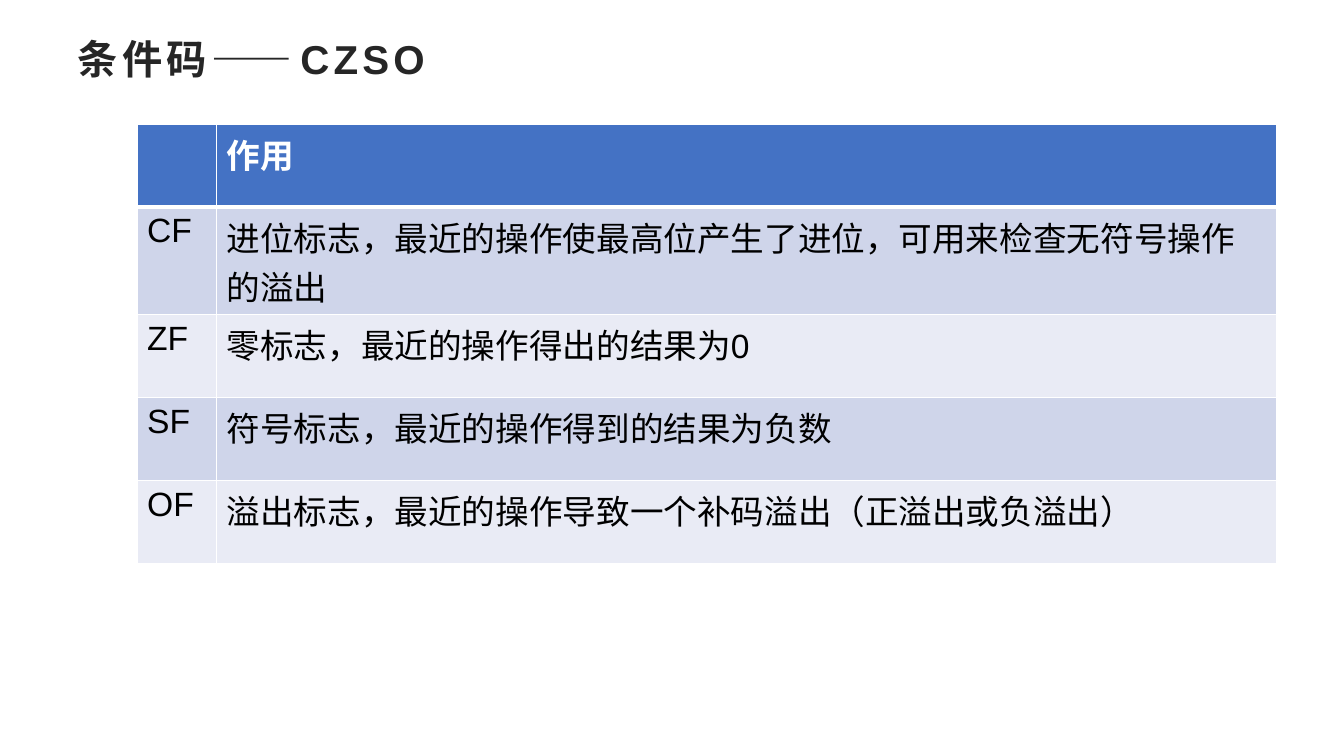
from lxml.etree import SubElement
from pptx import Presentation
from pptx.dml.color import RGBColor as RGB
from pptx.enum.lang import MSO_LANGUAGE_ID as LANG
from pptx.enum.text import MSO_ANCHOR as ANCHOR, MSO_AUTO_SIZE as AUTO, PP_ALIGN as ALIGN
from pptx.oxml.ns import qn
from pptx.util import Pt

COLORS = {
    "title": "262626",
    "header": "4472C4",
    "odd": "CFD5EA",
    "even": "E9EBF5",
    "white": "FFFFFF",
    "black": "000000",
}
FLAGS = [
    ("", "作用"),
    ("CF", "进位标志，最近的操作使最高位产生了进位，可用来检查无符号操作的溢出"),
    ("ZF", "零标志，最近的操作得出的结果为0"),
    ("SF", "符号标志，最近的操作得到的结果为负数"),
    ("OF", "溢出标志，最近的操作导致一个补码溢出（正溢出或负溢出）"),
]


class Deck:
    font = "Arial"

    def __init__(self, prs):
        self.slide = prs.slides.add_slide(prs.slide_layouts[5])

    def style(self, p, size, color, bold=False):
        f = p.font
        f.name, f.size, f.bold = self.font, Pt(size), bold
        f.color.rgb = RGB.from_string(COLORS[color])
        f.language_id = LANG.SIMPLIFIED_CHINESE

    def title(self, text, x, y, w, h):
        sp = self.slide.shapes.title
        sp.left, sp.top, sp.width, sp.height = Pt(x), Pt(y), Pt(w), Pt(h)
        tf = sp.text_frame
        tf.text = text
        tf.word_wrap, tf.auto_size = True, AUTO.NONE
        tf.vertical_anchor = ANCHOR.MIDDLE
        p = tf.paragraphs[0]
        p.alignment, p.line_spacing = ALIGN.LEFT, 0.9
        p.space_before, p.space_after = Pt(0), Pt(8)
        self.style(p, 28.8, "title", True)
        # Letter spacing in hundredths of a point
        p._p.pPr.find(qn("a:defRPr")).set("spc", "300")

    def borders(self, cell, bottom=1, top=1):
        tcPr = cell._tc.get_or_add_tcPr()
        widths = {"a:lnL": 1, "a:lnR": 1, "a:lnT": top, "a:lnB": bottom}
        for tag, width in widths.items():
            ln = SubElement(tcPr, qn(tag), w=str(Pt(width)))
            fill = SubElement(ln, qn("a:solidFill"))
            SubElement(fill, qn("a:srgbClr"), val=COLORS["white"])

    def table(self, rows, x, y, widths, row_h):
        frame = self.slide.shapes.add_table(
            len(rows), len(widths), Pt(x), Pt(y), Pt(sum(widths)), Pt(row_h * len(rows)))
        table = frame.table
        for col, width in zip(table.columns, widths):
            col.width = Pt(width)
        for i, row in enumerate(rows):
            table.rows[i].height = Pt(row_h)
            head = i == 0
            fill = "header" if head else "odd" if i % 2 else "even"
            for j, text in enumerate(row):
                cell = table.cell(i, j)
                self.borders(cell, bottom=3 if head else 1, top=3 if i == 1 else 1)
                cell.fill.solid()
                cell.fill.fore_color.rgb = RGB.from_string(COLORS[fill])
                cell.text = text
                self.style(cell.text_frame.paragraphs[0], 24,
                           "white" if head else "black", head)


def main():
    prs = Presentation()
    prs.slide_width, prs.slide_height = Pt(960), Pt(540)
    deck = Deck(prs)
    # Heading
    deck.title("条件码——CZSO", 48.24, 21.6, 864, 44.64)
    # Condition flags
    deck.table(FLAGS, 97.9, 88.9, [56.9, 757.4], 59.2)
    prs.save("out.pptx")


if __name__ == "__main__":
    main()
